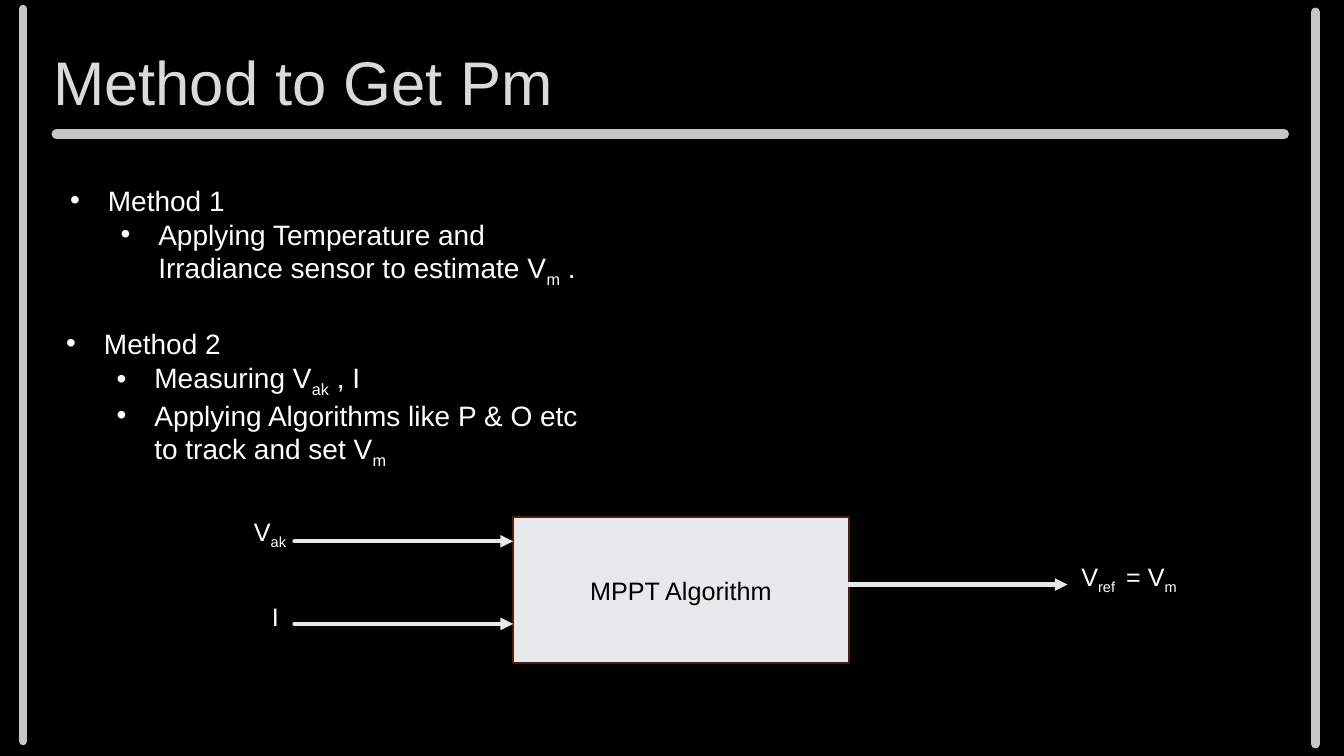
from lxml.etree import SubElement
from pptx import Presentation
from pptx.dml.color import RGBColor
from pptx.enum.shapes import MSO_CONNECTOR, MSO_SHAPE
from pptx.enum.text import MSO_ANCHOR, PP_ALIGN
from pptx.oxml.ns import qn
from pptx.util import Cm, Pt

# Content: "|" switches between normal text and subscript
TITLE = "Method to Get Pm"
METHODS = [  # left, top, height, (level, text)
    (1.52, 4.5, 2.82, [(0, "Method 1"),
                       (1, "Applying Temperature and Irradiance sensor to estimate V|m| .")]),
    (1.42, 8.1, 3.68, [(0, "Method 2"),
                       (1, "Measuring V|ak| , I"),
                       (1, "Applying Algorithms like P & O etc to track and set V|m")]),
]
BLOCK = ("MPPT Algorithm", 12.93, 13.03, 8.46, 3.68)
LABELS = [  # text, left, top, width, indent
    ("V|ref | = V|m", 27, 14.02, 3.12, 0),
    ("I", 5.33, 15.04, 2.03, 1.27),
    ("V|ak", 4.88, 12.88, 2.62, 1.27),
]
FRAME = [  # x1, y1, x2, y2, width in points
    (0.58, 0.23, 0.58, 18.67, 6.25),
    (33.15, 0.3, 33.15, 18.75, 6.25),
    (1.42, 3.38, 32.36, 3.38, 7),
]
ARROW_LENGTH = 5.51
ARROWS = [(BLOCK[1] - ARROW_LENGTH, 13.64), (BLOCK[1] - ARROW_LENGTH, 15.72),
          (BLOCK[1] + BLOCK[3], 14.73)]

BLACK, WHITE, TITLE_GREY = "000000", "FFFFFF", "DADADA"
FRAME_GREY, BLOCK_GREY, BLOCK_EDGE = "C6C6C9", "E8E8EA", "521E0C"


def paint(color_format, color):
    color_format.rgb = RGBColor.from_string(color)


def fill(fill_format, color):
    fill_format.solid()
    paint(fill_format.fore_color, color)


def add_runs(p, text, size, color):
    for i, part in enumerate(text.split("|")):
        r = p.add_run()
        r.text = part
        r.font.name, r.font.size = "Arial", Pt(size)
        paint(r.font.color, color)
        if i % 2:
            r.font._element.set("baseline", "-25000")


def add_box(s, left, top, width, height, wrap=True):
    tf = s.shapes.add_textbox(Cm(left), Cm(top), Cm(width), Cm(height)).text_frame
    tf.word_wrap = wrap
    return tf


def indent(p, margin, hanging=0):
    pPr = p._p.get_or_add_pPr()
    pPr.set("marL", str(Cm(margin)))
    pPr.set("indent", str(-Cm(hanging)))
    return pPr


def add_line(s, x1, y1, x2, y2, width, color, arrow=False):
    sp = s.shapes.add_connector(MSO_CONNECTOR.STRAIGHT, Cm(x1), Cm(y1), Cm(x2), Cm(y2))
    sp.line.width = Pt(width)
    paint(sp.line.color, color)
    ln = sp.line._get_or_add_ln()
    ln.set("cap", "rnd")
    if arrow:
        SubElement(ln, qn("a:tailEnd"), type="triangle")
    SubElement(sp._element.spPr, qn("a:effectLst"))


prs = Presentation()
prs.slide_width, prs.slide_height = Cm(33.87), Cm(19.05)
s = prs.slides.add_slide(prs.slide_layouts[6])
fill(s.background.fill, BLACK)

# Title and frame
tf = add_box(s, 1.09, 0.69, 28.75, 2.69)
tf.vertical_anchor = MSO_ANCHOR.MIDDLE
add_runs(tf.paragraphs[0], TITLE, 44, TITLE_GREY)
for line in FRAME:
    add_line(s, *line, FRAME_GREY)

# Bulleted methods
for left, top, height, items in METHODS:
    tf = add_box(s, left, top, 13.97, height)
    for i, (level, text) in enumerate(items):
        p = tf.add_paragraph() if i else tf.paragraphs[0]
        p.level = level
        pPr = indent(p, 0.95 + 1.27 * level, 0.95)
        SubElement(pPr, qn("a:buFont"), typeface="Arial")
        SubElement(pPr, qn("a:buChar"), char="•")
        add_runs(p, text, 20, WHITE)

# Block diagram
text, *place = BLOCK
sp = s.shapes.add_shape(MSO_SHAPE.RECTANGLE, *map(Cm, place))
sp.shadow.inherit = False
fill(sp.fill, BLOCK_GREY)
paint(sp.line.color, BLOCK_EDGE)
sp.line.width = Pt(1.25)
sp.text_frame.vertical_anchor = MSO_ANCHOR.MIDDLE
p = sp.text_frame.paragraphs[0]
p.alignment = PP_ALIGN.CENTER
add_runs(p, text, 18, BLACK)

for x, y in ARROWS:
    add_line(s, x, y, x + ARROW_LENGTH, y, 3, BLOCK_GREY, arrow=True)

for text, left, top, width, margin in LABELS:
    p = add_box(s, left, top, width, 1.02, wrap=False).paragraphs[0]
    indent(p, margin)
    add_runs(p, text, 18, WHITE)

prs.save("out.pptx")
